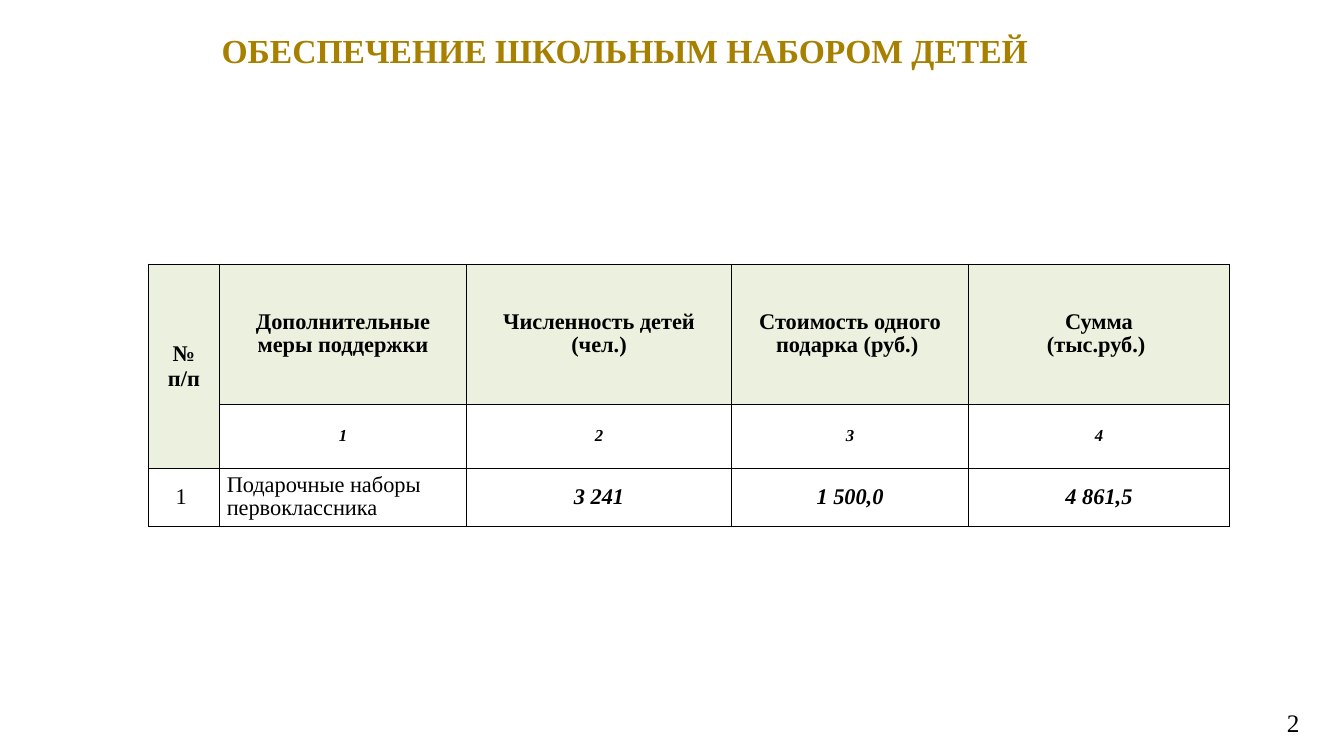
from dataclasses import dataclass
from lxml.etree import SubElement
from pptx import Presentation
from pptx.dml.color import RGBColor
from pptx.enum.text import MSO_ANCHOR, PP_ALIGN
from pptx.oxml.ns import qn
from pptx.util import Pt


@dataclass
class Theme:
    font: str = "Times New Roman"
    ink: str = "000000"
    gold: str = "A88000"
    head: str = "EBF1DE"
    white: str = "FFFFFF"
    title: int = 24
    page: int = 18
    body: int = 16
    note: int = 12
    rule: float = 0.96


class Deck:
    def __init__(self, theme):
        self.theme = theme
        self.prs = Presentation()
        self.prs.slide_width, self.prs.slide_height = Pt(960), Pt(540)
        self.slide = self.prs.slides.add_slide(self.prs.slide_layouts[6])

    def put(self, frame, text, size, color=None, align=PP_ALIGN.LEFT,
            space=None, **form):
        """Fill a text frame, one paragraph per line."""
        for i, line in enumerate(text.split("\n")):
            para = frame.paragraphs[0] if i == 0 else frame.add_paragraph()
            para.alignment = align
            if space:
                para.line_spacing = space
            run = para.add_run()
            run.text = line
            look = {"name": self.theme.font, "size": Pt(size), **form}
            for key, value in look.items():
                setattr(run.font, key, value)
            run.font.color.rgb = RGBColor.from_string(color or self.theme.ink)

    def text(self, box, text, size, **form):
        frame = self.slide.shapes.add_textbox(*map(Pt, box)).text_frame
        frame.word_wrap = True
        self.put(frame, text, size, **form)

    def border(self, cell):
        props = cell._tc.get_or_add_tcPr()
        for side in "LRTB":
            line = SubElement(props, qn(f"a:ln{side}"), w=str(int(Pt(self.theme.rule))))
            fill = SubElement(line, qn("a:solidFill"))
            SubElement(fill, qn("a:srgbClr"), val=self.theme.ink)

    def cell(self, cell, text, fill, edge, **form):
        look = {"margin_left": Pt(edge), "margin_right": Pt(edge),
                "margin_top": Pt(3.6), "margin_bottom": Pt(3.6),
                "vertical_anchor": MSO_ANCHOR.MIDDLE}
        for key, value in look.items():
            setattr(cell, key, value)
        self.border(cell)
        if fill:
            cell.fill.solid()
            cell.fill.fore_color.rgb = RGBColor.from_string(fill)
        else:
            cell.fill.background()
        if text:
            self.put(cell.text_frame, text, **form)

    def table(self, left, top, cols, rows, data, style):
        """Draw a grid; style(row, col) gives the format of each cell."""
        table = self.slide.shapes.add_table(
            len(rows), len(cols), Pt(left), Pt(top), Pt(sum(cols)), Pt(sum(rows))).table
        table.first_row = table.horz_banding = False
        for col, width in zip(table.columns, cols):
            col.width = Pt(width)
        for row, height in zip(table.rows, rows):
            row.height = Pt(height)
        for r, line in enumerate(data):
            for c, text in enumerate(line):
                self.cell(table.cell(r, c), text, **style(r, c))
        return table


def main():
    theme = Theme()
    deck = Deck(theme)

    # Page number
    deck.text((711.4, 501.8, 223.9, 28.8), "2", theme.page, align=PP_ALIGN.RIGHT)

    # Table of support measures
    data = [
        ["№ п/п", "Дополнительные меры поддержки", "Численность детей (чел.)",
         "Стоимость одного подарка (руб.) ", "Сумма\n(тыс.руб.) "],
        ["", "1", "2", "3", "4"],
        ["1 ", "Подарочные наборы первоклассника", "3 241", "1 500,0", "4 861,5"],
    ]

    def style(r, c):
        plain = r == 2 and c < 2
        return {
            "fill": (theme.head, None, theme.white)[r],
            "edge": 7.2 if r == 0 else 5.2,
            "size": theme.note if r == 1 else theme.body,
            "align": PP_ALIGN.LEFT if (r, c) == (2, 1) else PP_ALIGN.CENTER,
            "space": None if (r, c) == (0, 0) else 0.9,
            "bold": not plain,
            "italic": r > 0 and not plain,
        }

    table = deck.table(106, 188.8, [50.8, 176.4, 189.4, 169.2, 186.5],
                       [100, 43, 39], data, style)
    table.cell(0, 0).merge(table.cell(1, 0))

    # Title
    deck.text((151.2, 18, 657.4, 64), "ОБЕСПЕЧЕНИЕ ШКОЛЬНЫМ НАБОРОМ ДЕТЕЙ",
              theme.title, color=theme.gold, bold=True)

    deck.prs.save("out.pptx")


if __name__ == "__main__":
    main()
